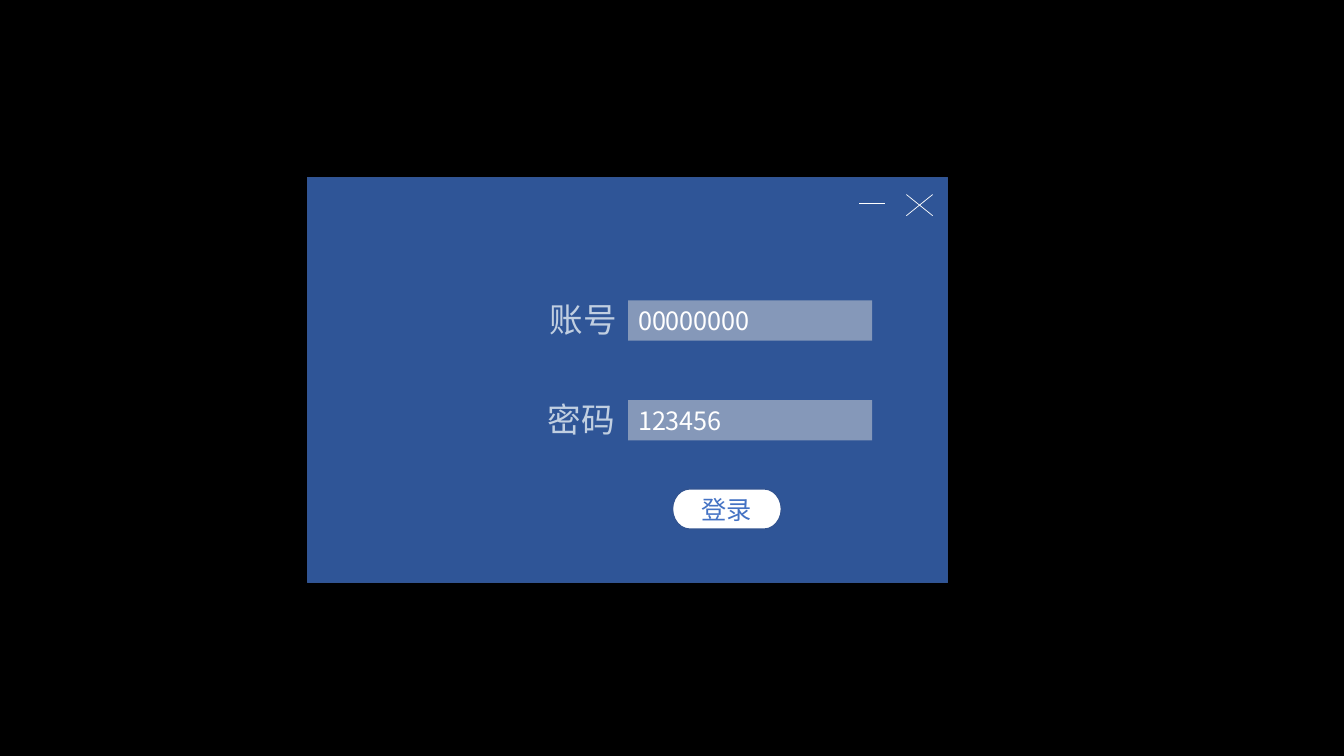
from dataclasses import dataclass

from lxml import etree
from pptx import Presentation
from pptx import util as u
from pptx.dml.color import RGBColor
from pptx.enum import shapes, text
from pptx.oxml.ns import qn


@dataclass(frozen=True)
class Theme:
    font: str = "Noto Sans CJK SC"
    backdrop: str = "000000"
    window: str = "2F5597"
    border: str = "325491"
    field: str = "DCDCDC"
    label: str = "C1CFE1"
    accent: str = "4472C4"
    white: str = "FFFFFF"
    label_size: int = 24
    entry_size: int = 18
    border_width: float = 1
    icon_width: float = 0.5


THEME = Theme()
WIDTH, HEIGHT = 13.33, 7.5
FIELD_LEFT, FIELD_TOP, FIELD_STEP = 6.23, 2.98, 0.99
FIELD_WIDTH, FIELD_HEIGHT = 2.42, 0.4
LABEL_WIDTH, LABEL_HEIGHT, LABEL_RISE = 0.89, 0.5, 0.06
ICON_WIDTH, ICON_HEIGHT = 0.26, 0.21
ROWS = [("账号", "00000000", 0), ("密码", "123456", 0.02)]


def color(value):
    return RGBColor.from_string(value)


def inches(*lengths):
    return [u.Inches(length) for length in lengths]


def write(frame, words, size, ink, align, anchor=text.MSO_ANCHOR.TOP):
    frame.word_wrap = True
    frame.vertical_anchor = anchor
    paragraph = frame.paragraphs[0]
    paragraph.text = words
    paragraph.alignment = align
    paragraph.font.size = u.Pt(size)
    paragraph.font.color.rgb = color(ink)
    paragraph.font.name = THEME.font
    defaults = paragraph._p.pPr.find(qn("a:defRPr"))
    etree.SubElement(defaults, qn("a:ea"), typeface=THEME.font)


def add_panel(slide, kind, box, fill, border=None, opacity=100):
    panel = slide.shapes.add_shape(kind, *inches(*box))
    panel.shadow.inherit = False
    panel.fill.solid()
    panel.fill.fore_color.rgb = color(fill)
    if opacity < 100:
        tint = panel._element.spPr.find(qn("a:solidFill"))[0]
        etree.SubElement(tint, qn("a:alpha"), val=str(opacity * 1000))
    if border:
        panel.line.color.rgb = color(border)
        panel.line.width = u.Pt(THEME.border_width)
    else:
        panel.line.fill.background()
    return panel


def add_field(slide, row, label, entry, shift):
    top = FIELD_TOP + row * FIELD_STEP
    field = add_panel(slide, shapes.MSO_SHAPE.RECTANGLE,
                      (FIELD_LEFT, top, FIELD_WIDTH, FIELD_HEIGHT),
                      THEME.field, opacity=50)
    write(field.text_frame, entry, THEME.entry_size, THEME.white,
          text.PP_ALIGN.LEFT)
    caption = slide.shapes.add_textbox(*inches(
        FIELD_LEFT - LABEL_WIDTH - shift, top - LABEL_RISE,
        LABEL_WIDTH, LABEL_HEIGHT))
    write(caption.text_frame, label, THEME.label_size, THEME.label,
          text.PP_ALIGN.CENTER)


def add_stroke(slide, x1, y1, x2, y2):
    stroke = slide.shapes.add_connector(
        shapes.MSO_CONNECTOR.STRAIGHT, *inches(x1, y1, x2, y2))
    stroke.line.color.rgb = color(THEME.white)
    stroke.line.width = u.Pt(THEME.icon_width)
    etree.SubElement(stroke._element.spPr, qn("a:effectLst"))


def add_window_icons(slide, minimize_left, minimize_y, close_left, close_top):
    close_right, close_bottom = close_left + ICON_WIDTH, close_top + ICON_HEIGHT
    add_stroke(slide, minimize_left, minimize_y,
               minimize_left + ICON_WIDTH, minimize_y)
    add_stroke(slide, close_left, close_top, close_right, close_bottom)
    add_stroke(slide, close_right, close_top, close_left, close_bottom)


def main():
    deck = Presentation()
    deck.slide_width, deck.slide_height = inches(WIDTH, HEIGHT)
    slide = deck.slides.add_slide(deck.slide_layouts[6])
    slide.background.fill.solid()
    slide.background.fill.fore_color.rgb = color(THEME.backdrop)

    add_panel(slide, shapes.MSO_SHAPE.RECTANGLE, (3.05, 1.76, 6.35, 4.02),
              THEME.window, THEME.border)
    for row, (label, entry, shift) in enumerate(ROWS):
        add_field(slide, row, label, entry, shift)
    login = add_panel(slide, shapes.MSO_SHAPE.FLOWCHART_TERMINATOR,
                      (6.67, 4.85, 1.08, 0.4), THEME.white, THEME.border)
    write(login.text_frame, "登录", THEME.entry_size, THEME.accent,
          text.PP_ALIGN.CENTER, text.MSO_ANCHOR.MIDDLE)
    add_window_icons(slide, 8.52, 2.02, 8.99, 1.93)
    deck.save("out.pptx")


main()
